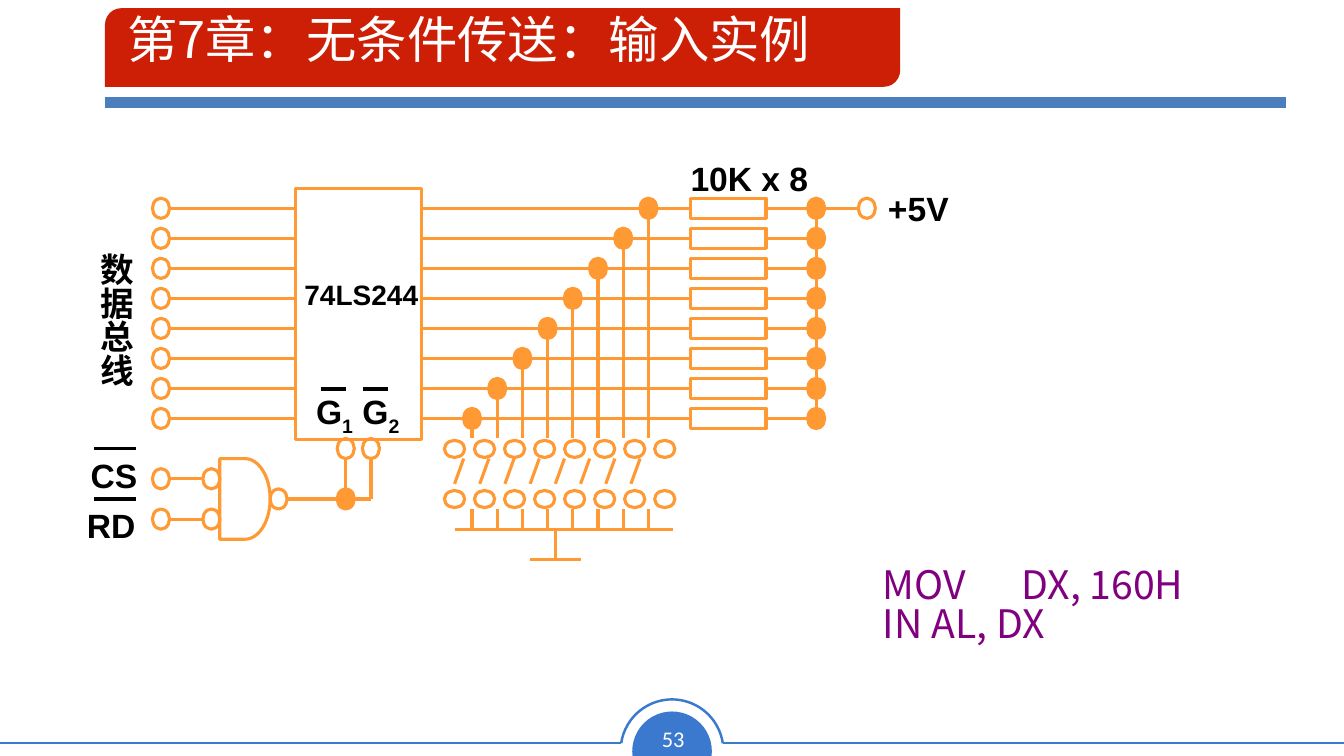
from lxml.etree import SubElement
from pptx import Presentation
from pptx.dml.color import RGBColor
from pptx.enum.shapes import MSO_CONNECTOR, MSO_SHAPE
from pptx.enum.text import MSO_ANCHOR, PP_ALIGN
from pptx.oxml.ns import qn
from pptx.util import Pt

COLORS = {"white": "FFFFFF", "blue": "3B79CE", "rule": "4B7EBC", "red": "CD1F06",
          "wire": "FF9933", "black": "000000", "code": "800080"}
CJK = "Noto Sans CJK SC"
BITS = 8
ROW = 21.45    # distance between data lines
COL = 18       # distance between switch columns
PIN_W, PIN_H = 12.2, 14.4


def rgb(name):
    return RGBColor.from_string(COLORS[name])


# Drawing helpers
def line(s, x1, y1, x2, y2, color="wire", width=2.25):
    c = s.shapes.add_connector(MSO_CONNECTOR.STRAIGHT, Pt(x1), Pt(y1), Pt(x2), Pt(y2))
    c.line.color.rgb = rgb(color)
    c.line.width = Pt(width)
    SubElement(c.element.spPr, qn("a:effectLst"))


def shape(s, kind, x, y, w, h, fill=None, stroke="wire", width=2.25):
    sp = s.shapes.add_shape(kind, Pt(x), Pt(y), Pt(w), Pt(h))
    sp.shadow.inherit = False
    if fill:
        sp.fill.solid()
        sp.fill.fore_color.rgb = rgb(fill)
    else:
        sp.fill.background()
    if stroke:
        sp.line.color.rgb = rgb(stroke)
        sp.line.width = Pt(width)
    else:
        sp.line.fill.background()
    return sp


def pin(s, cx, cy, w=PIN_W, h=PIN_H, fill=None):
    shape(s, MSO_SHAPE.OVAL, cx - w / 2, cy - h / 2, w, h, fill)


def node(s, cx, cy):
    pin(s, cx, cy, fill="wire")


def add_run(p, text, size, color, font, bold=False):
    r = p.add_run()
    r.text = text
    r.font.size = Pt(size)
    r.font.bold = bold
    r.font.name = font
    r.font.color.rgb = rgb(color)
    SubElement(r.font._element, qn("a:ea")).set("typeface", CJK)
    return r


def label(s, x, y, w, h, parts, size=24, color="black", font="Arial", bold=True):
    """Centred text; parts are (text, is_subscript) pairs."""
    tf = s.shapes.add_textbox(Pt(x), Pt(y), Pt(w), Pt(h)).text_frame
    tf.word_wrap = False
    tf.vertical_anchor = MSO_ANCHOR.MIDDLE
    p = tf.paragraphs[0]
    p.alignment = PP_ALIGN.CENTER
    for text, is_subscript in parts:
        r = add_run(p, text, size, color, font, bold)
        if is_subscript:
            r.font._element.set("baseline", "-25000")
    return tf


# Red banner, title and rule
def header(s, x, y, w, h):
    banner = shape(s, MSO_SHAPE.ROUND_2_DIAG_RECTANGLE, x, y, 568, 56.2, "red", None)
    banner.adjustments[0] = 0.209
    banner.adjustments[1] = 0
    line(s, x, y + h, x + w, y + h, "rule", 8)
    title = s.shapes.title
    title.left, title.top, title.width, title.height = Pt(x + 8.6), Pt(y + 1.5), Pt(818.6), Pt(66.2)
    title.element.getparent().append(title.element)
    tf = title.text_frame
    tf.vertical_anchor = MSO_ANCHOR.TOP
    p = tf.paragraphs[0]
    p.alignment = PP_ALIGN.LEFT
    p.line_spacing = 0.9
    add_run(p, "第7章：无条件传送：输入实例", 36, "white", CJK)


# Page number badge between two lines
def footer(s, x, y, w, h):
    mid = x + w / 2
    disc = shape(s, MSO_SHAPE.CHORD, mid - 28.4, y + 8.6, 56.9, 56.9, "blue", None)
    disc.rotation = 112.4
    disc.adjustments[0] = 35.772
    disc.adjustments[1] = 153.29
    arc = shape(s, MSO_SHAPE.ARC, mid - 36.7, y, 73.4, 73.4, None, "blue", 1.77)
    arc.adjustments[0] = 113.17
    arc.adjustments[1] = 210.975
    for start, end in ((x, mid - 36.5), (mid + 36.3, x + w)):
        line(s, start, y + 31, end, y + 31, "blue", 1.77)
    label(s, mid - 15.6, y + 14.4, 33, 26.6, [("53", False)], 16, "white", "Calibri", False)


# Data bus terminals and buffer chip
def bus_and_chip(s, x, y, w, h):
    chip_x, chip_w = x + w - 90, 90
    shape(s, MSO_SHAPE.RECTANGLE, chip_x, y, chip_w, h)
    for i in range(BITS):
        row_y = y + 14.2 + ROW * i
        pin(s, x + 54, row_y)
        line(s, x + 60, row_y, chip_x, row_y)
    bus = label(s, x, y + 39, 43.2, 102.2, [("数据总线", False)])
    bus._txBody.bodyPr.set("vert", "eaVert")
    label(s, chip_x - 0.8, y + 59.8, 95.8, 31, [("74LS244", False)], 20)
    label(s, chip_x + 6.4, y + 143.3, 76.3, 36,
          [("G", False), ("1", True), (" G", False), ("2", True)])
    for bar_x in (chip_x + 18, chip_x + 48.2):
        line(s, bar_x, y + 143.3, bar_x + 18, y + 143.3, "black")


# Data lines, resistors and supply
def pull_ups(s, x, y, w, h):
    res_x, res_w, res_h = x + 192.2, 54, 14.4
    rail_x, supply_x = x + 282, x + 318.2
    for i in range(BITS):
        row_y = y + ROW * i
        line(s, x, row_y, res_x, row_y)
        shape(s, MSO_SHAPE.RECTANGLE, res_x, row_y - res_h / 2, res_w, res_h)
        line(s, res_x + res_w, row_y, rail_x, row_y)
        node(s, rail_x, row_y)
        tap_x = x + 162.2 - COL * i
        node(s, tap_x, row_y)
        line(s, tap_x, row_y + PIN_H / 2, tap_x, y + h)
    line(s, rail_x, y, rail_x, y + ROW * (BITS - 1) + PIN_H / 2)
    line(s, rail_x, y, supply_x - PIN_W / 2, y)
    pin(s, supply_x, y)
    label(s, x + 185, y - 39.4, 98.6, 36, [("10K x 8", False)])
    label(s, x + 326.2, y - 17.8, 57.6, 36, [("+5V", False)])


# Switch bank with ground
def switches(s, x, y, w, h):
    ground_y = y + h - 21.6
    for i in range(BITS):
        for contact_y in (y + 7.5, y + 43.3):
            pin(s, x + ROW * i, contact_y, PIN_H, PIN_W)
        left = x + COL * i
        line(s, left + 6.5, y + 14.4, left, y + 32.4)
        line(s, left + 12.5, ground_y - PIN_H, left + 12.5, ground_y)
    line(s, x, ground_y, x + w, ground_y)
    line(s, x + 72, ground_y, x + 72, y + h)
    line(s, x + 54, y + h, x + 90, y + h)


# Gate that enables the buffer
def enable_logic(s, x, y, w, h):
    gate_x, out_y = x + 102.2, y + 43.2
    for i, (name, label_x, label_w) in enumerate((("CS", 2.9, 47.5), ("RD", 0, 49))):
        in_y = y + 28.8 * (i + 1)
        pin(s, x + 60.2, in_y)
        line(s, x + 66.2, in_y, x + 90, in_y)
        pin(s, x + 96.2, in_y)
        label(s, x + label_x, y + 7.9 + 36 * i, label_w, 36, [(name, False)])
        line(s, x + 12.2, y + 7.2 + 36 * i, x + 42.4, y + 7.2 + 36 * i, "black")
    shape(s, MSO_SHAPE.FLOWCHART_DELAY, gate_x, y + 14.4, 36, 57.6)
    pin(s, x + 144.2, out_y)
    line(s, x + 150.4, out_y, x + w, out_y)
    for strobe_x in (x + w - 18, x + w):
        pin(s, strobe_x, y + 7.2)
        line(s, strobe_x, y + 14.4, strobe_x, out_y)
    node(s, x + w - 18, out_y)


# Assembly code
def code(s, x, y, w, h):
    tf = s.shapes.add_textbox(Pt(x), Pt(y), Pt(w), Pt(h)).text_frame
    tf.word_wrap = True
    for i, text in enumerate(("MOV \tDX, 160H", "IN AL, DX")):
        p = tf.paragraphs[0] if i == 0 else tf.add_paragraph()
        p.line_spacing = 0.83
        pPr = p._p.get_or_add_pPr()
        pPr.set("marL", str(Pt(27)))
        pPr.set("indent", str(Pt(-27)))
        add_run(p, text, 28, "code", CJK)


def main():
    prs = Presentation()
    prs.slide_width, prs.slide_height = Pt(960), Pt(540)
    s = prs.slides.add_slide(prs.slide_layouts[5])
    s.background.fill.solid()
    s.background.fill.fore_color.rgb = rgb("white")
    footer(s, 0, 499.6, 960, 40.4)
    header(s, 75, 5.8, 843.7, 67.4)
    bus_and_chip(s, 61, 134.6, 240, 179.2)
    pull_ups(s, 301, 148.8, 324.3, 164.4)
    switches(s, 324.7, 313.2, 156.3, 86.4)
    enable_logic(s, 54.8, 313.2, 210.2, 72)
    code(s, 623.5, 402, 302.4, 79.2)
    prs.save("out.pptx")


if __name__ == "__main__":
    main()
